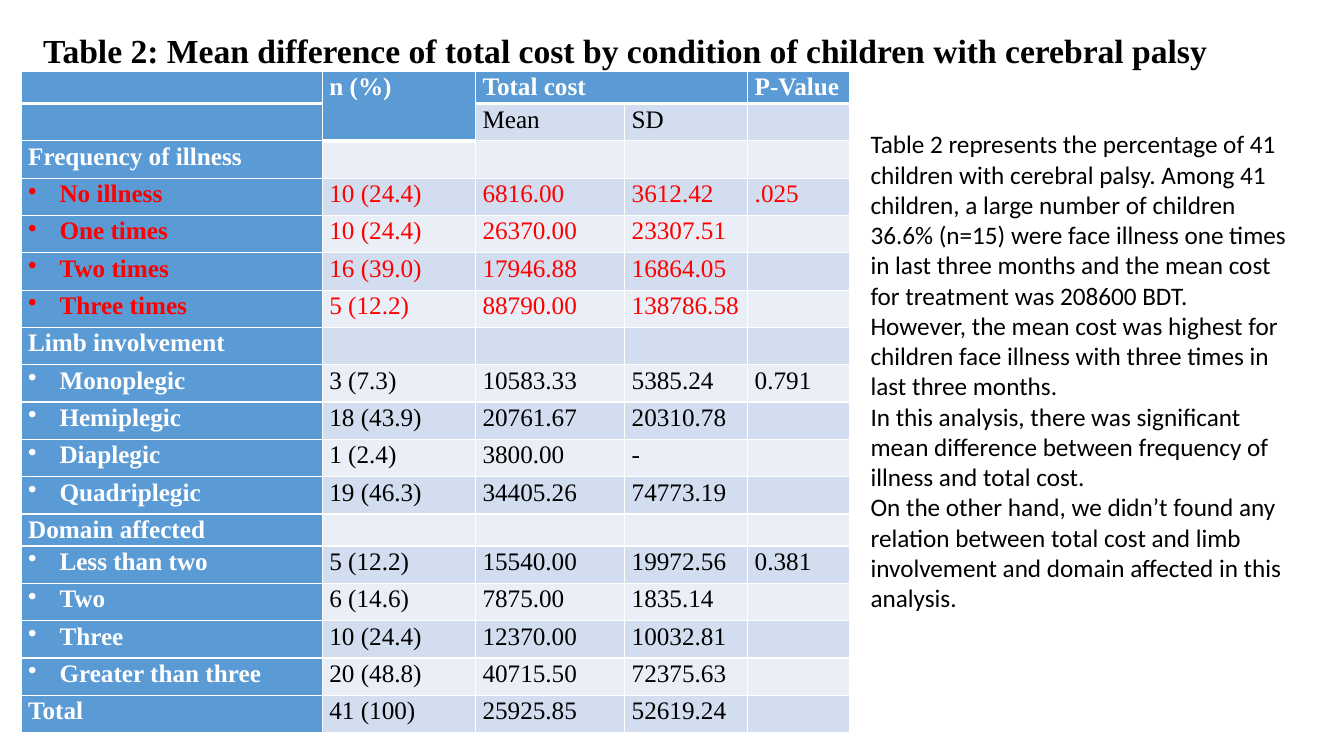
import dataclasses

import lxml.etree
import pptx
import pptx.dml.color
import pptx.enum.text
import pptx.oxml.ns
import pptx.util

Cm = pptx.util.Cm
Pt = pptx.util.Pt


@dataclasses.dataclass(frozen=True)
class Theme:
    heading: str = "5B9BD5"
    band_dark: str = "D2DEEF"
    band_light: str = "EAEFF7"
    white: str = "FFFFFF"
    black: str = "000000"
    red: str = "FF0000"
    serif: str = "Times New Roman"
    sans: str = "Calibri"
    title_size: int = 24
    body_size: int = 18


THEME = Theme()

TITLE = "Table 2: Mean difference of total cost by condition of children with cerebral palsy"

COMMENTARY = [
    "Table 2 represents the percentage of 41 children with cerebral palsy. Among 41 children, "
    "a large number of children 36.6% (n=15) were face illness one times in last three months "
    "and the mean cost for treatment was 208600 BDT. However, the mean cost was highest for "
    "children face illness with three times in last three months.",
    "In this analysis, there was significant mean difference between frequency of illness "
    "and total cost.",
    "On the other hand, we didn’t found any relation between total cost and limb involvement "
    "and domain affected in this analysis.",
]

HEADER_ROWS = [
    ["", "n (%)", "Total cost", "", "P-Value"],
    ["", "", "Mean", "SD", ""],
]

# Group name, rows of the group, and whether the result is significant
GROUPS = [
    ("Frequency of illness", [
        ["No illness", "10 (24.4)", "6816.00", "3612.42", ".025"],
        ["One times", "10 (24.4)", "26370.00", "23307.51", ""],
        ["Two times", "16 (39.0)", "17946.88", "16864.05", ""],
        ["Three times", "5 (12.2)", "88790.00", "138786.58", ""],
    ], True),
    ("Limb involvement", [
        ["Monoplegic", "3 (7.3)", "10583.33", "5385.24", "0.791"],
        ["Hemiplegic", "18 (43.9)", "20761.67", "20310.78", ""],
        ["Diaplegic", "1 (2.4)", "3800.00", "-", ""],
        ["Quadriplegic", "19 (46.3)", "34405.26", "74773.19", ""],
    ], False),
    ("Domain affected", [
        ["Less than two", "5 (12.2)", "15540.00", "19972.56", "0.381"],
        ["Two", "6 (14.6)", "7875.00", "1835.14", ""],
        ["Three", "10 (24.4)", "12370.00", "10032.81", ""],
        ["Greater than three", "20 (48.8)", "40715.50", "72375.63", ""],
    ], False),
]

TOTAL_ROW = ["Total", "41 (100)", "25925.85", "52619.24", ""]

COLUMN_WIDTHS = [7.59, 3.86, 3.76, 3.1, 2.57]
ROW_HEIGHT = 0.94
SHORT_ROW_HEIGHT = 0.81
SHORT_ROWS = (0, 12)


def rgb(code):
    return pptx.dml.color.RGBColor.from_string(code)


def format_span(span, face, size, colour, bold=False):
    span.font.name = face
    span.font.size = Pt(size)
    span.font.bold = bold
    span.font.color.rgb = rgb(colour)


def add_text(page, box, paragraphs, face, size, bold=False):
    left, top, width, height = (Cm(length) for length in box)
    frame = page.shapes.add_textbox(left, top, width, height).text_frame
    frame.word_wrap = True
    frame.auto_size = pptx.enum.text.MSO_AUTO_SIZE.SHAPE_TO_FIT_TEXT
    frame.text = "\n".join(paragraphs)
    for para in frame.paragraphs:
        for span in para.runs:
            format_span(span, face, size, THEME.black, bold)


def add_bullet(para):
    properties = para._p.get_or_add_pPr()
    properties.set("marL", str(Cm(0.79)))
    properties.set("indent", str(-Cm(0.79)))
    bullet = lxml.etree.SubElement(properties, pptx.oxml.ns.qn("a:buChar"))
    bullet.set("char", "•")


def set_borders(cell, bottom_width):
    qn = pptx.oxml.ns.qn
    properties = cell._tc.get_or_add_tcPr()
    widths = {"a:lnL": 1, "a:lnR": 1, "a:lnT": 1, "a:lnB": bottom_width}
    for position, (side, width) in enumerate(widths.items()):
        line = lxml.etree.Element(qn(side), w=str(Pt(width)))
        fill = lxml.etree.SubElement(line, qn("a:solidFill"))
        lxml.etree.SubElement(fill, qn("a:srgbClr"), val=THEME.white)
        properties.insert(position, line)


def fill_cell(cell, text, fill, colour, bold, bulleted, bottom_width):
    cell.margin_left = cell.margin_right = Cm(0.18)
    cell.margin_top = cell.margin_bottom = 0
    cell.fill.solid()
    cell.fill.fore_color.rgb = rgb(fill)
    set_borders(cell, bottom_width)
    para = cell.text_frame.paragraphs[0]
    para.font.size = Pt(THEME.body_size)
    if not text:
        return
    para.text = text
    para.alignment = pptx.enum.text.PP_ALIGN.JUSTIFY
    para.line_spacing = 1.07
    if bulleted:
        add_bullet(para)
    for span in para.runs:
        format_span(span, THEME.serif, THEME.body_size, colour, bold)


def table_rows():
    """Return each row as (values, bulleted, significant)."""
    rows = [(values, False, False) for values in HEADER_ROWS]
    for name, members, significant in GROUPS:
        rows.append(([name, "", "", "", ""], False, False))
        rows += [(values, True, significant) for values in members]
    return rows + [(TOTAL_ROW, False, False)]


def add_cost_table(page, left, top):
    rows = table_rows()
    heights = [SHORT_ROW_HEIGHT if index in SHORT_ROWS else ROW_HEIGHT
               for index in range(len(rows))]
    table = page.shapes.add_table(
        len(rows), len(COLUMN_WIDTHS), Cm(left), Cm(top),
        Cm(sum(COLUMN_WIDTHS)), Cm(sum(heights))).table
    for column, width in zip(table.columns, COLUMN_WIDTHS):
        column.width = Cm(width)
    for row, height in zip(table.rows, heights):
        row.height = Cm(height)

    for row_index, (values, bulleted, significant) in enumerate(rows):
        band = THEME.band_dark if row_index % 2 else THEME.band_light
        for column_index, text in enumerate(values):
            heading = row_index == 0 or column_index == 0
            under_count = row_index == 1 and column_index == 1
            fill = THEME.heading if heading or under_count else band
            colour = THEME.white if heading else THEME.black
            if significant:
                colour = THEME.red
            fill_cell(table.cell(row_index, column_index), text, fill, colour, heading,
                      bulleted and column_index == 0,
                      3 if row_index == 0 or under_count else 1)

    # Headings that cover two cells
    table.cell(0, 1).merge(table.cell(1, 1))
    table.cell(0, 2).merge(table.cell(0, 3))


def build_cost_page(deck):
    page = deck.slides.add_slide(deck.slide_layouts[6])
    add_cost_table(page, 0.53, 1.8)
    add_text(page, (0.84, 0.64, 31.04, 2.06), [TITLE], THEME.serif, THEME.title_size, True)
    add_text(page, (21.69, 3.12, 11.02, 12.57), COMMENTARY, THEME.sans, THEME.body_size)


def main():
    deck = pptx.Presentation()
    deck.slide_width = Cm(33.87)
    deck.slide_height = Cm(19.05)
    build_cost_page(deck)
    deck.save("out.pptx")


if __name__ == "__main__":
    main()
